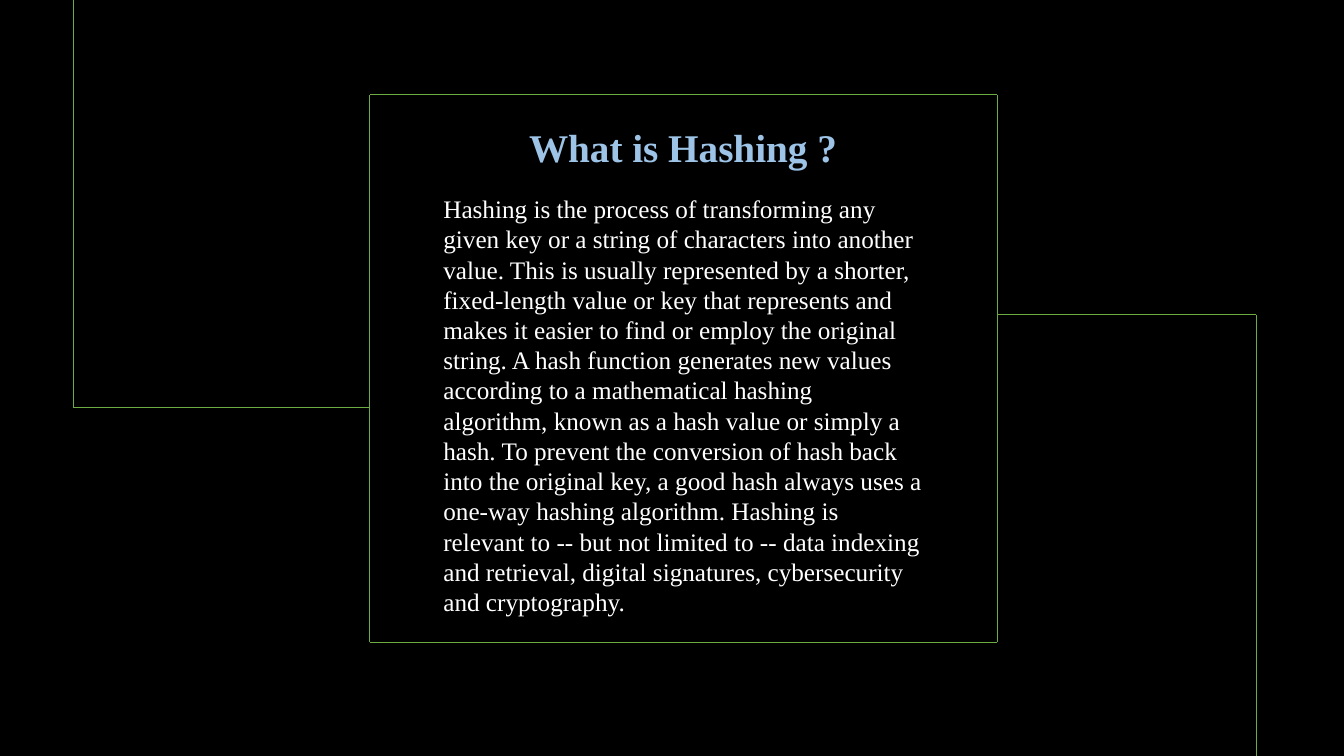
import pptx
import pptx.dml.color
import pptx.enum.shapes
import pptx.enum.text
import pptx.oxml.ns
import pptx.util
from lxml import etree

Pt = pptx.util.Pt
RGBColor = pptx.dml.color.RGBColor
PP_ALIGN = pptx.enum.text.PP_ALIGN

# Content
HEADING = "What is Hashing ?"
DEFINITION = (
    "Hashing is the process of transforming any given key or a string of "
    "characters into another value. This is usually represented by a shorter, "
    "fixed-length value or key that represents and makes it easier to find or "
    "employ the original string. A hash function generates new values according "
    "to a mathematical hashing algorithm, known as a hash value or simply a hash. "
    "To prevent the conversion of hash back into the original key, a good hash "
    "always uses a one-way hashing algorithm. Hashing is relevant to -- but not "
    "limited to -- data indexing and retrieval, digital signatures, cybersecurity "
    "and cryptography."
)

# Colours and font
BLACK = RGBColor(0x00, 0x00, 0x00)
WHITE = RGBColor(0xFF, 0xFF, 0xFF)
GREEN = RGBColor(0x6D, 0xAC, 0x43)
LIGHT_BLUE = RGBColor(0x9D, 0xC3, 0xE6)
FONT = "Times New Roman"

# Layout in points
SLIDE_W, SLIDE_H = 960, 540
FRAME_LEFT, FRAME_TOP, FRAME_RIGHT, FRAME_BOTTOM = 264.2, 67.6, 712.2, 458.8
LEFT_BRANCH_X, LEFT_BRANCH_Y = 52.5, 291
RIGHT_BRANCH_X, RIGHT_BRANCH_Y = 897.3, 224.7

# Each path is a chain of corners joined by straight lines
PATHS = [
    # Left branch, from the top edge to the frame
    [(LEFT_BRANCH_X, 0), (LEFT_BRANCH_X, LEFT_BRANCH_Y), (FRAME_LEFT, LEFT_BRANCH_Y)],
    # Frame, split where the branches meet it
    [(FRAME_LEFT, LEFT_BRANCH_Y), (FRAME_LEFT, FRAME_TOP), (FRAME_RIGHT, FRAME_TOP),
     (FRAME_RIGHT, RIGHT_BRANCH_Y), (FRAME_RIGHT, FRAME_BOTTOM),
     (FRAME_LEFT, FRAME_BOTTOM), (FRAME_LEFT, LEFT_BRANCH_Y)],
    # Right branch, from the frame to the bottom edge
    [(FRAME_RIGHT, RIGHT_BRANCH_Y), (RIGHT_BRANCH_X, RIGHT_BRANCH_Y),
     (RIGHT_BRANCH_X, SLIDE_H)],
]

# Text, box (left, top, width, height), size, colour, bold, alignment
TEXTS = [
    (HEADING, (320.4, 84.2, 334.8, 41.2), 28, LIGHT_BLUE, True, PP_ALIGN.CENTER),
    (DEFINITION, (309.6, 134.6, 356.4, 312.5), 18, WHITE, False, PP_ALIGN.LEFT),
]


def add_line(slide, start, end):
    line = slide.shapes.add_connector(
        pptx.enum.shapes.MSO_CONNECTOR.STRAIGHT, *map(Pt, start + end))
    line.line.color.rgb = GREEN
    line.line.width = Pt(0.75)
    properties = line._element.spPr
    etree.SubElement(properties, pptx.oxml.ns.qn("a:effectLst"))


def add_text(slide, text, box, size, colour, bold, alignment):
    frame = slide.shapes.add_textbox(*map(Pt, box)).text_frame
    frame.word_wrap = True
    frame.auto_size = pptx.enum.text.MSO_AUTO_SIZE.SHAPE_TO_FIT_TEXT
    paragraph = frame.paragraphs[0]
    paragraph.alignment = alignment
    run = paragraph.add_run()
    run.text = text
    run.font.name = FONT
    run.font.size = Pt(size)
    run.font.bold = bold
    run.font.color.rgb = colour


def main():
    deck = pptx.Presentation()
    deck.slide_width, deck.slide_height = Pt(SLIDE_W), Pt(SLIDE_H)
    slide = deck.slides.add_slide(deck.slide_layouts[6])

    # Black backdrop
    backdrop = slide.shapes.add_shape(
        pptx.enum.shapes.MSO_SHAPE.RECTANGLE, 0, 0, Pt(SLIDE_W), Pt(SLIDE_H))
    backdrop.shadow.inherit = False
    backdrop.fill.solid()
    backdrop.fill.fore_color.rgb = BLACK
    backdrop.line.color.rgb = BLACK
    backdrop.line.width = Pt(2)

    # Frame and branches
    for corners in PATHS:
        for start, end in zip(corners, corners[1:]):
            add_line(slide, start, end)

    # Heading and definition
    for entry in TEXTS:
        add_text(slide, *entry)

    deck.save("out.pptx")


if __name__ == "__main__":
    main()
